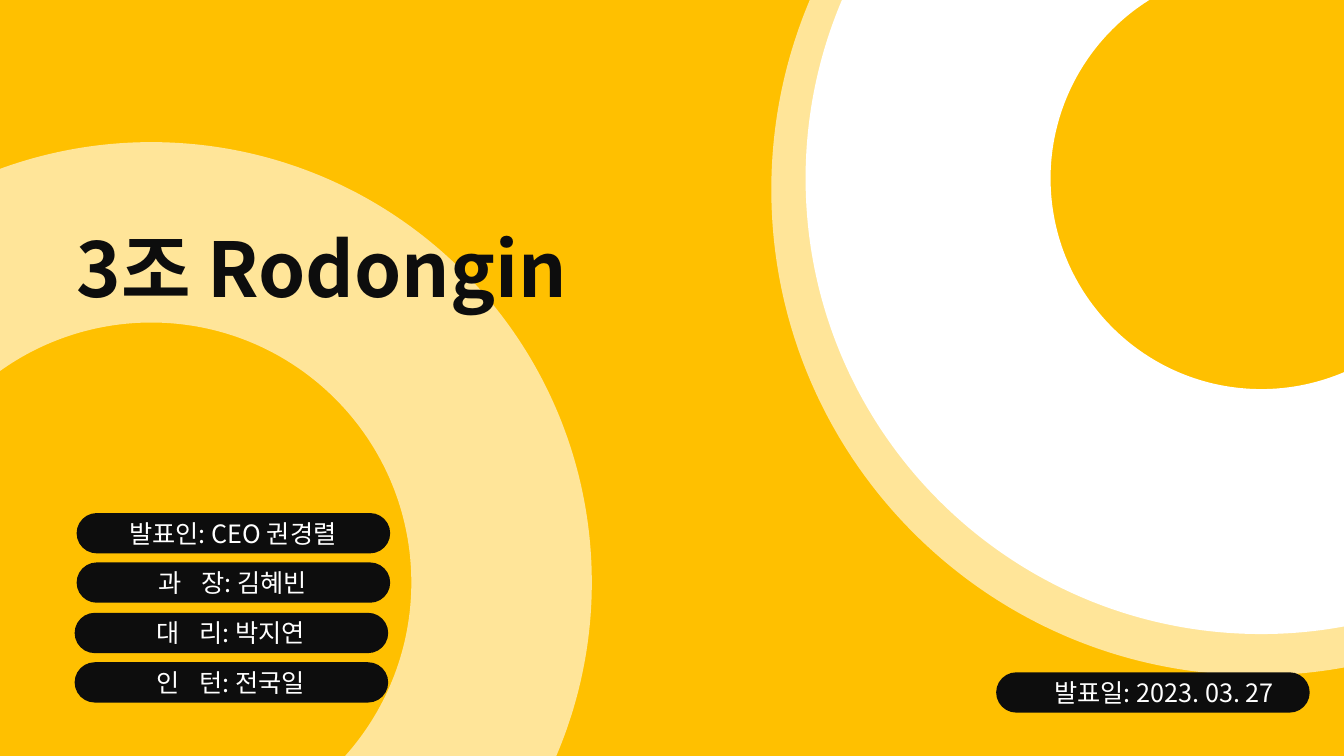
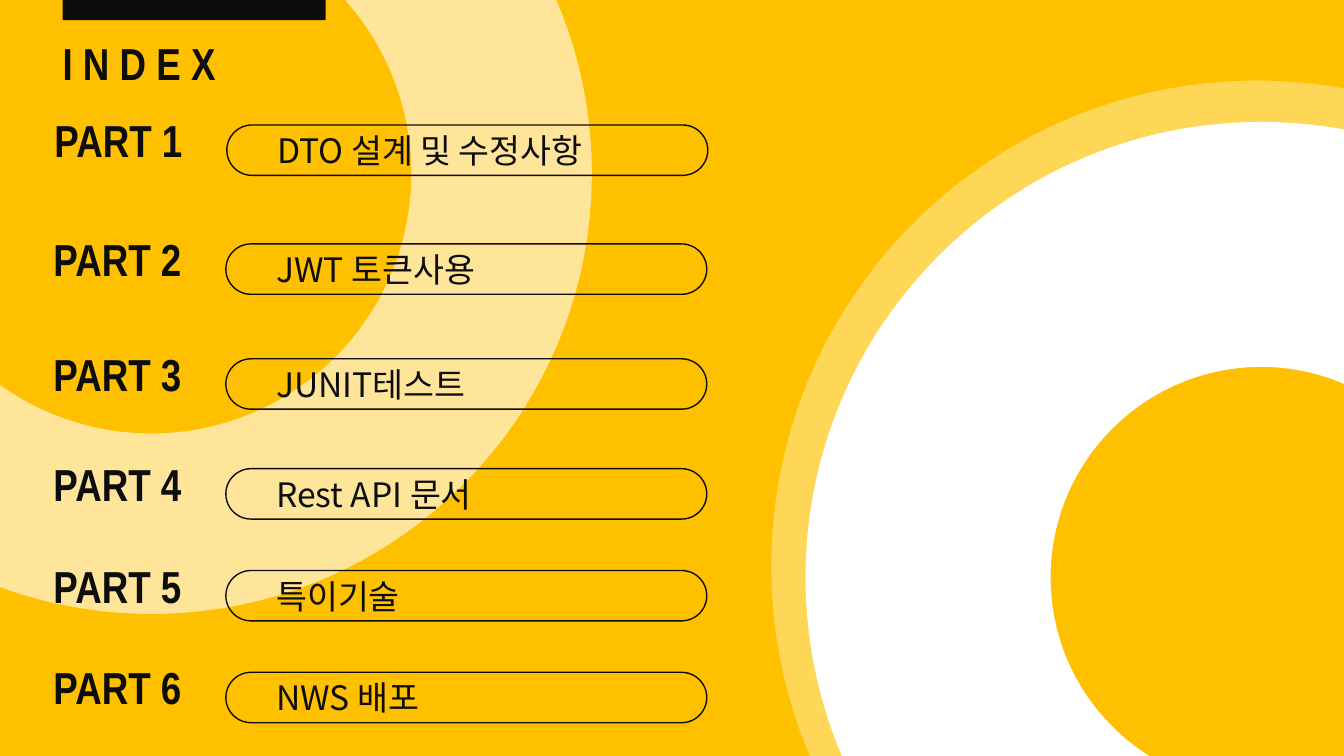
from dataclasses import dataclass
from math import acos, asin, cos, pi, sin, tan

from lxml.etree import SubElement
from pptx import Presentation
from pptx.dml.color import RGBColor
from pptx.enum.shapes import MSO_SHAPE as Preset
from pptx.enum.text import MSO_AUTO_SIZE as AutoSize, PP_ALIGN as Align
from pptx.oxml.ns import qn
from pptx.util import Inches, Pt

COLORS = {"amber": "FFC000", "gold": "FFD757", "white": "FFFFFF", "ink": "0D0D0D"}
KOREAN = "Noto Sans CJK KR"
NARROW = "Arial Narrow"
WIDTH, HEIGHT = 13.33, 7.5


@dataclass
class Box:
    left: float
    top: float
    width: float
    height: float

    def inner(self, dx, dy, width, height):
        return Box(self.left + dx, self.top + dy, width, height)

    def lengths(self):
        return [Inches(v) for v in (self.left, self.top, self.width, self.height)]


@dataclass
class Ring:
    x: float
    y: float
    outer: float
    inner: float

    def angles(self, radius):
        if self.x < WIDTH / 2:
            start = -acos(-self.x / radius)
            end = asin((HEIGHT - self.y) / radius)
        else:
            start = acos((WIDTH - self.x) / radius)
            end = pi + asin(self.y / radius)
        quarters = [q * pi / 2 for q in range(-2, 4) if start < q * pi / 2 < end]
        return [start, *quarters, end]

    def curves(self, radius, angles):
        for a, b in zip(angles, angles[1:]):
            pull = 4 / 3 * tan((b - a) / 4)
            yield [(self.x + radius * (cos(t) - k * sin(t)),
                    self.y + radius * (sin(t) + k * cos(t)))
                   for t, k in ((a, 0), (a, pull), (b, -pull), (b, 0))]

    def sides(self):
        outside = self.curves(self.outer, self.angles(self.outer))
        inside = self.curves(self.inner, self.angles(self.inner)[::-1])
        return list(outside), list(inside)


LEFT_RING = Ring(1.5, 5.78, 4.37, 2.58)
RIGHT_RIM = Ring(12.47, 1.88, 4.82, 2.23)
RIGHT_RING = Ring(12.51, 1.77, 4.52, 2.09)


def rgb(color):
    return RGBColor.from_string(COLORS[color])


def paint(shape, fill=None, line=None, alpha=None):
    shape.shadow.inherit = False
    if fill:
        shape.fill.solid()
        shape.fill.fore_color.rgb = rgb(fill)
    else:
        shape.fill.background()
    if alpha:
        tint = shape._element.spPr.find(".//" + qn("a:srgbClr"))
        SubElement(tint, qn("a:alpha")).set("val", str(alpha * 1000))
    if line:
        shape.line.color.rgb = rgb(line)
        shape.line.width = Pt(1)
    else:
        shape.line.fill.background()


def add_text(slide, box, text, size=18, font=KOREAN, color="ink", bold=False,
             align=None, insets=(0.1, 0.1), line_spacing=None, spread=0):
    frame = slide.shapes.add_textbox(*box.lengths()).text_frame
    frame.word_wrap = True
    frame.auto_size = AutoSize.SHAPE_TO_FIT_TEXT
    frame.margin_left, frame.margin_right = map(Inches, insets)
    paragraph = frame.paragraphs[0]
    paragraph.alignment = align
    paragraph.line_spacing = line_spacing
    for part, spacing in ((text[:spread], 5), (text[spread:], 0)):
        if not part:
            continue
        run = paragraph.add_run()
        run.text = part
        run.font.size = Pt(size)
        run.font.bold = bold
        run.font.name = font
        run.font.color.rgb = rgb(color)
        if spacing:
            run._r.get_or_add_rPr().set("spc", str(spacing * 100))


def add_pill(slide, box, **look):
    pill = slide.shapes.add_shape(Preset.ROUNDED_RECTANGLE, *box.lengths())
    pill.adjustments[0] = 0.5
    paint(pill, **look)


def add_ring(slide, ring, mirrored, **look):
    def place(point):
        x, y = point
        return Inches(x), Inches(HEIGHT - y if mirrored else y)

    outside, inside = ring.sides()
    steps = outside + [[inside[0][0]]] + inside
    builder = slide.shapes.build_freeform(*place(outside[0][0]), scale=1.0)
    builder.add_line_segments([place(step[-1]) for step in steps], close=True)
    shape = builder.convert_to_shape()
    segments = list(shape._element.iter(qn("a:lnTo")))
    for segment, step in zip(segments, steps):
        if len(step) == 1:
            continue
        segment.tag = qn("a:cubicBezTo")
        segment.remove(segment[0])
        for x, y in map(place, step[1:]):
            spot = SubElement(segment, qn("a:pt"))
            spot.set("x", str(x - shape.left))
            spot.set("y", str(y - shape.top))
    paint(shape, **look)


def add_base(deck, rim, mirrored=False):
    slide = deck.slides.add_slide(deck.slide_layouts[6])
    slide.background.fill.solid()
    slide.background.fill.fore_color.rgb = rgb("amber")
    add_ring(slide, LEFT_RING, mirrored, fill="white", alpha=60)
    add_ring(slide, RIGHT_RIM, mirrored, **rim)
    add_ring(slide, RIGHT_RING, mirrored, fill="white")
    return slide


def add_badge(slide, box, text, text_dx=0.13, text_width=2.84, spread=0):
    add_pill(slide, box, fill="ink")
    add_text(slide, box.inner(text_dx, 0, text_width, box.height), text,
             color="white", align=Align.CENTER, spread=spread)


def add_members(slide, box, members):
    for dx, dy, text, spread in members:
        add_badge(slide, box.inner(dx, dy, box.width, 0.4), text, spread=spread)


def add_index_heading(slide, box):
    bar = slide.shapes.add_shape(
        Preset.RECTANGLE, *box.inner(0, 0, box.width, 0.2).lengths())
    paint(bar, fill="ink")
    add_text(slide, box.inner(0, 0.31, box.width, 0.62), "I N D E X", size=32,
             font=NARROW, bold=True, align=Align.JUSTIFY, insets=(0, 0))


def add_index_row(slide, box, part, topic):
    add_text(slide, box.inner(0, 0, 1.65, 0.63), part, size=32, font=NARROW,
             bold=True, insets=(0, 0.1))
    add_text(slide, box.inner(2.21, 0.17, 3.93, 0.49), topic, size=24,
             align=Align.JUSTIFY, insets=(0, 0.1))
    add_pill(slide, box.inner(1.71, 0.17, 4.77, 0.5), line="ink")


def build_cover(deck):
    slide = add_base(deck, {"fill": "white", "alpha": 60})
    add_text(slide, Box(0.76, 2.06, 6.76, 1.08), "3조 Rodongin", size=54,
             bold=True, insets=(0, 0), line_spacing=1.1)
    add_members(slide, Box(0.74, 5.09, 3.11, 1.88), [
        (0.02, 0, "발표인: CEO 권경렬", 0),
        (0.02, 0.49, "과 장: 김혜빈", 2),
        (0, 0.99, "대 리: 박지연", 2),
        (0, 1.48, "인 턴: 전국일", 2),
    ])
    add_badge(slide, Box(9.88, 6.67, 3.11, 0.4), "발표일: 2023. 03. 27",
              text_dx=0.29, text_width=2.75)


def build_index(deck):
    slide = add_base(deck, {"fill": "gold"}, mirrored=True)
    add_index_heading(slide, Box(0.62, 0, 2.61, 0.93))
    rows = [
        (0.54, 1.07, "DTO 설계 및 수정사항"),
        (0.53, 2.25, "JWT 토큰사용"),
        (0.53, 3.39, "JUNIT테스트"),
        (0.53, 4.48, "Rest API 문서"),
        (0.53, 5.49, "특이기술"),
        (0.53, 6.5, "NWS 배포"),
    ]
    for number, (left, top, topic) in enumerate(rows, 1):
        add_index_row(slide, Box(left, top, 6.48, 0.67), f"PART {number}", topic)


def main():
    deck = Presentation()
    deck.slide_width, deck.slide_height = Inches(WIDTH), Inches(HEIGHT)
    build_cover(deck)
    build_index(deck)
    deck.save("out.pptx")


if __name__ == "__main__":
    main()
